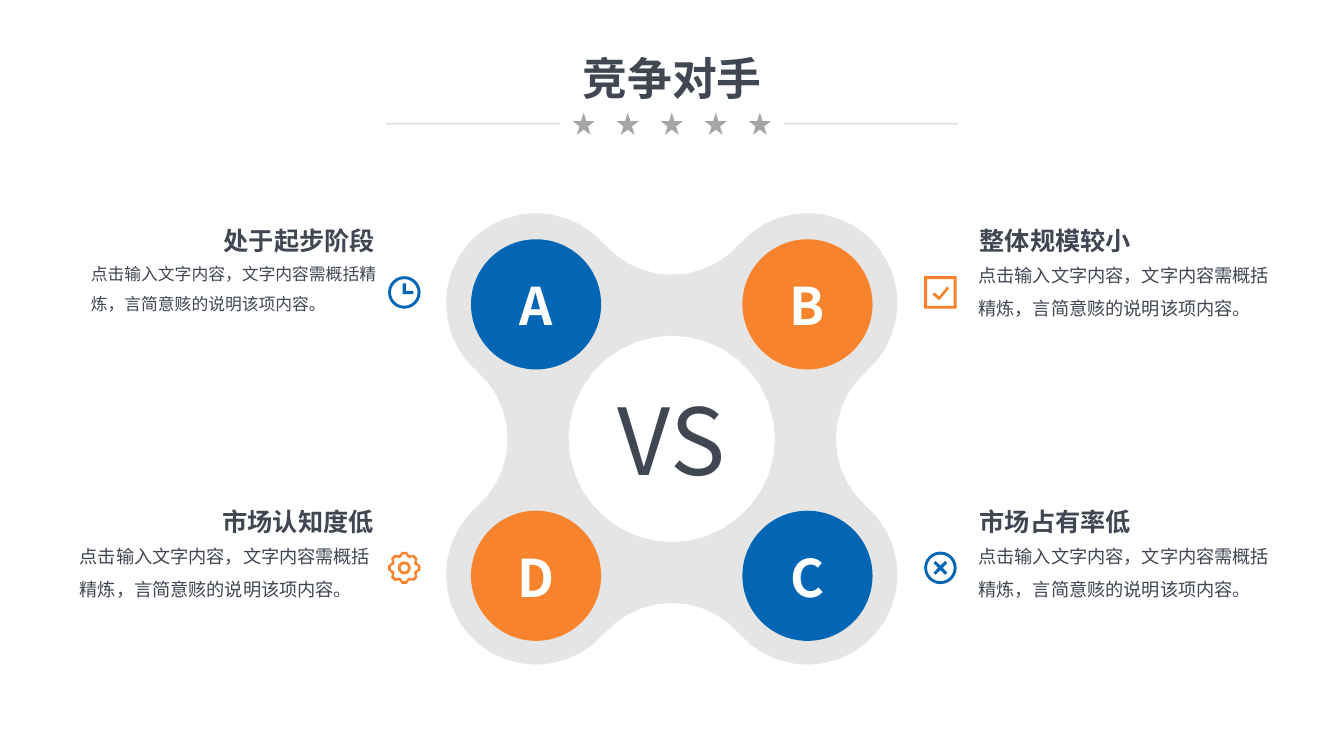
from math import atan2, cos, degrees, hypot, radians, sin

from lxml import etree
from pptx import Presentation, util as u
from pptx.dml.color import RGBColor
from pptx.enum import shapes, text
from pptx.oxml.ns import qn

FONT = "Noto Sans CJK SC"
BLUE, ORANGE, INK, GREY, WHITE = "0266B4", "F8832D", "404652", "A5A5A5", "FFFFFF"
BODY = "点击输入文字内容，文字内容需概括精炼，言简意赅的说明该项内容。"
LEFT, CENTER, RIGHT = text.PP_ALIGN.LEFT, text.PP_ALIGN.CENTER, text.PP_ALIGN.RIGHT
KIND = shapes.MSO_SHAPE


def paint(fmt, color, alpha=100):
    """Apply a solid hex colour with an opacity in percent."""
    fmt.solid()
    fmt.fore_color.rgb = RGBColor.from_string(color)
    if alpha < 100:
        clr = fmt._xPr.find(".//" + qn("a:srgbClr"))
        etree.SubElement(clr, qn("a:alpha")).set("val", str(alpha * 1000))


def write(sp, content, size=18, color=INK, bold=False, align=LEFT,
          spacing=None, wrap=False, inset=(0.25, 0.13)):
    """Fill a shape with one formatted paragraph."""
    tf = sp.text_frame
    tf.auto_size = text.MSO_AUTO_SIZE.NONE
    tf.word_wrap = wrap
    tf.vertical_anchor = text.MSO_ANCHOR.TOP
    tf.margin_left = tf.margin_right = u.Cm(inset[0])
    tf.margin_top = tf.margin_bottom = u.Cm(inset[1])
    p = tf.paragraphs[0]
    p.alignment = align
    if spacing:
        p.line_spacing = spacing
    r = p.add_run()
    r.text = content
    r.font.size, r.font.bold, r.font.name = u.Pt(size), bold, FONT
    paint(r.font.fill, color)
    etree.SubElement(r.font._element, qn("a:ea")).set("typeface", FONT)


def polar(r, angle, cx=0, cy=0):
    """Return the point at a radius and an angle in degrees."""
    return cx + r * cos(radians(angle)), cy + r * sin(radians(angle))


def arc(r, start=0, end=360, cx=0, cy=0):
    """Return points along a circular arc, about ten degrees apart."""
    steps = round(abs(end - start) / 10)
    return [polar(r, start + (end - start) * i / steps, cx, cy) for i in range(steps + 1)]


def rotor(r, lobe, hole):
    """Return four tangent lobes and notches of one radius, with a round hole."""
    notch = lobe + ((2 * r) ** 2 - lobe ** 2) ** 0.5
    turn = degrees(atan2(notch - lobe, lobe))
    outline = []
    for quarter in range(0, 360, 90):
        x, y = polar(hypot(lobe, lobe), 225 + quarter)
        outline += arc(r, 90 + turn + quarter, 360 - turn + quarter, x, y)
        x, y = polar(notch, 270 + quarter)
        outline += arc(r, 180 - turn + quarter, turn + quarter, x, y)
    return [outline, arc(hole)]


def repeat(points, count):
    """Repeat points given as angle and radius evenly around a circle."""
    return [polar(r, a + 360 * i / count) for i in range(count) for a, r in points]


class Deck:
    """Hold the presentation and draw on its slide."""

    def __init__(self):
        """Open a wide slide with a title."""
        self.prs = Presentation()
        self.prs.slide_width, self.prs.slide_height = u.Cm(33.87), u.Cm(19.05)
        self.s = self.prs.slides.add_slide(self.prs.slide_layouts[5])

    def title(self, content, x, y, w, h):
        """Place and format the title."""
        sp = self.s.shapes.title
        sp.left, sp.top, sp.width, sp.height = map(u.Cm, (x, y, w, h))
        write(sp, content, size=32, bold=True, align=CENTER)

    def label(self, content, x, y, w, h, **style):
        """Add a text box."""
        write(self.s.shapes.add_textbox(*map(u.Cm, (x, y, w, h))), content, **style)

    def finish(self, sp, color, alpha=100):
        """Give a shape a flat fill and no outline."""
        sp.shadow.inherit = False
        paint(sp.fill, color, alpha)
        sp.line.fill.background()

    def preset(self, kind, cx, cy, size, color, band=None):
        """Add a square preset shape around a centre."""
        corner = cx - size / 2, cy - size / 2
        sp = self.s.shapes.add_shape(kind, *map(u.Cm, (*corner, size, size)))
        if band:
            sp.adjustments[0] = band
        self.finish(sp, color)

    def outline(self, contours, cx, cy, color, alpha=100):
        """Add a freeform from contours around a centre."""
        placed = [[(u.Cm(cx + x), u.Cm(cy + y)) for x, y in c] for c in contours]
        fb = self.s.shapes.build_freeform(*placed[0][0])
        for i, points in enumerate(placed):
            if i:
                fb.move_to(*points[0])
            fb.add_line_segments(points[1:], close=True)
        self.finish(fb.convert_to_shape(), color, alpha)

    def rule(self, x, y, w):
        """Add a pale horizontal line."""
        ends = map(u.Cm, (x, y, x + w, y))
        c = self.s.shapes.add_connector(shapes.MSO_CONNECTOR.STRAIGHT, *ends)
        c.line.width = u.Pt(0.75)
        paint(c.line.fill, GREY, 60)
        etree.SubElement(c._element.spPr, qn("a:effectLst"))


def main():
    """Build the competitor slide."""
    deck = Deck()
    cx, cy, lobe = 16.93, 11.06, 3.42
    deck.title("竞争对手", 14.4, 1.14, 5.08, 1.63)
    deck.outline(rotor(2.27, lobe, 2.6), cx, cy, "000000", 10)

    for letter, color, dx, dy in (("A", BLUE, -1, -1), ("B", ORANGE, 1, -1),
                                  ("C", BLUE, 1, 1), ("D", ORANGE, -1, 1)):
        x, y = cx + dx * lobe, cy + 0.03 + dy * lobe
        deck.preset(KIND.OVAL, x, y, 3.28, color)
        deck.label(letter, x - 0.85, y - 0.95, 1.7, 1.93, size=37, color=WHITE,
                   bold=True, align=CENTER, inset=(0.33, 0.18))
    deck.label("VS", 15.21, 9.53, 3.43, 3.07, size=66, align=CENTER)

    left, right, upper, lower = 10.19, 23.7, 7.37, 14.31
    hands = [(-0.04, -0.23), (0.04, -0.23), (0.04, -0.04), (0.23, -0.04), (0.23, 0.04), (-0.04, 0.04)]
    tick = [(0.22, -0.1), (0.17, -0.15), (-0.03, 0.1), (-0.15, 0), (-0.2, 0.05), (-0.03, 0.2)]
    cross = repeat([(0, 0.06), (35, 0.21), (55, 0.21)], 4)
    rim = repeat([(-18, 0.35), (-9, 0.41), (9, 0.41), (18, 0.35)], 8)
    bore = repeat([(-16, 0.28), (-8, 0.34), (8, 0.34), (16, 0.28)], 8)
    for kind, x, y, color, mark in ((KIND.DONUT, left, upper, BLUE, hands),
                                    (KIND.FRAME, right, upper, ORANGE, tick),
                                    (KIND.DONUT, right, lower, BLUE, cross)):
        deck.preset(kind, x, y, 0.82, color, 0.09)
        deck.outline([mark], x, y, color)
    deck.outline([rim, bore], left, lower, ORANGE)
    deck.preset(KIND.DONUT, left, lower, 0.33, ORANGE, 0.22)

    top, bottom = 5.54, 12.62
    for heading, head_x, y, align, body_x, size in (
            ("处于起步阶段", 5.33, top, RIGHT, 2.29, 12),
            ("整体规模较小", 24.41, top, CENTER, 24.66, 13),
            ("市场占有率低", 24.41, bottom, CENTER, 24.66, 13),
            ("市场认知度低", 5.33, bottom, CENTER, 2.01, 13)):
        deck.label(heading, head_x, y, 4.37, 1.02, bold=True, align=align)
        deck.label(BODY, body_x, y + 0.84, 7.47, 1.57, size=size, spacing=1.5,
                   wrap=True, inset=(0, 0))

    for i in range(-2, 3):
        deck.preset(KIND.STAR_5_POINT, cx + 1.11 * i, 3.12, 0.56, GREY)
    for x in (9.73, 19.76):
        deck.rule(x, 3.12, 4.38)
    deck.prs.save("out.pptx")


if __name__ == "__main__":
    main()
